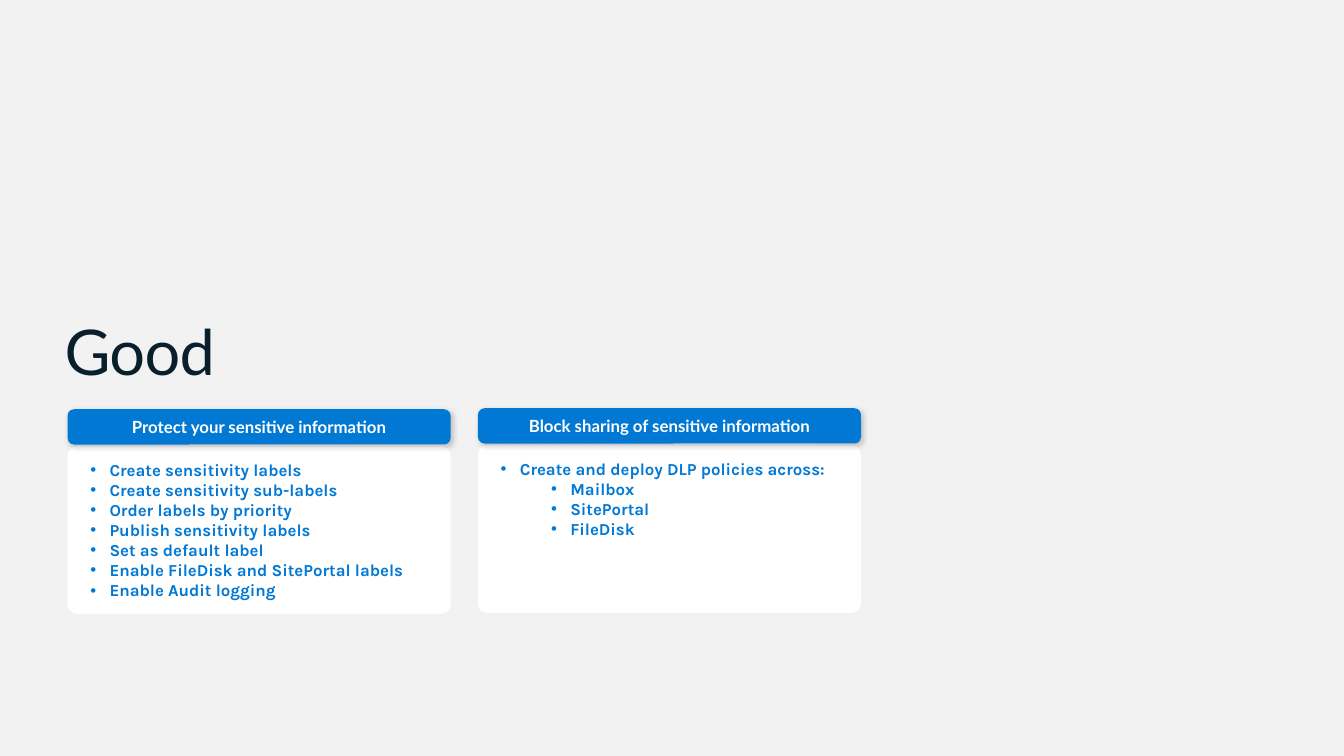
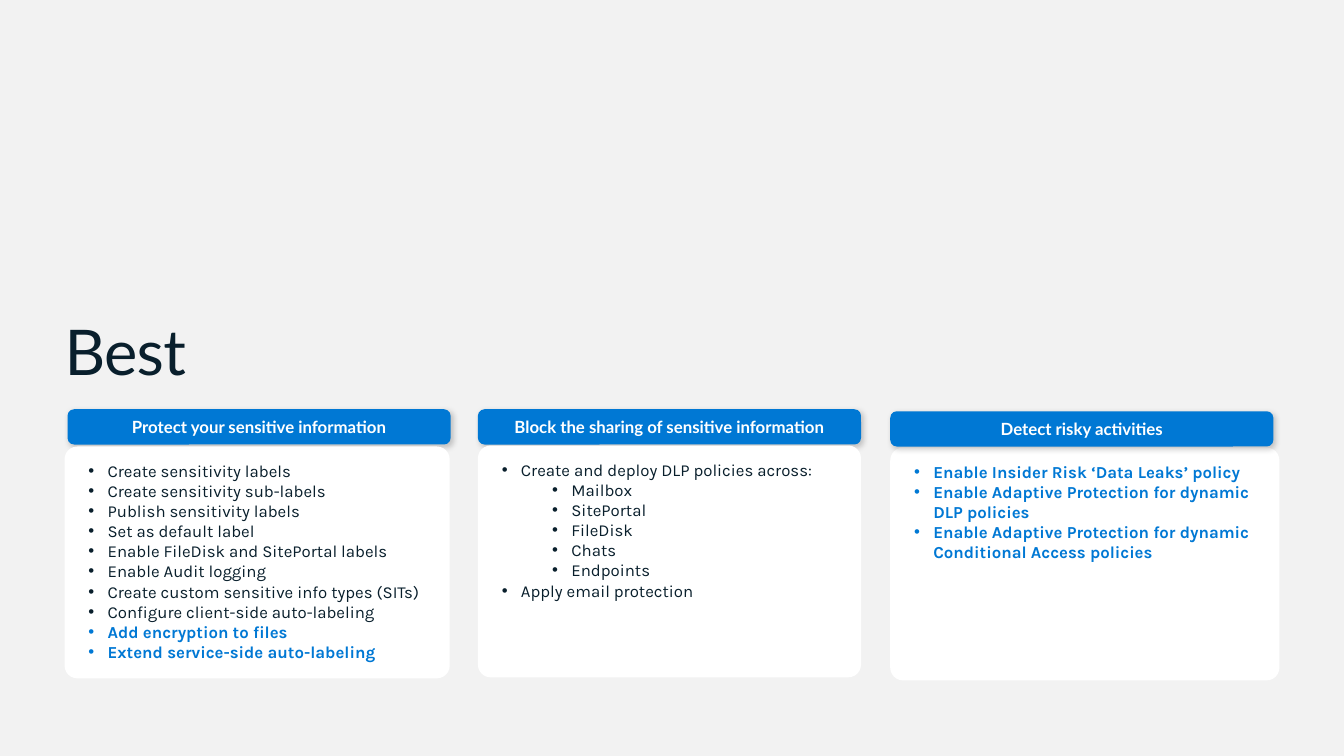
from dataclasses import dataclass

from lxml import etree
from pptx import Presentation
from pptx.dml.color import RGBColor
from pptx.enum.shapes import MSO_SHAPE
from pptx.enum.text import MSO_ANCHOR, PP_ALIGN
from pptx.oxml.ns import qn
from pptx.util import Inches, Pt

ROUND = MSO_SHAPE.ROUNDED_RECTANGLE
TOP, MIDDLE, BOTTOM = MSO_ANCHOR.TOP, MSO_ANCHOR.MIDDLE, MSO_ANCHOR.BOTTOM
LEFT, CENTER = PP_ALIGN.LEFT, PP_ALIGN.CENTER

# Shared style
GREY = RGBColor(0xF2, 0xF2, 0xF2)
WHITE = RGBColor(0xFF, 0xFF, 0xFF)
BLUE = RGBColor(0x00, 0x78, 0xD4)
INK = RGBColor(0x09, 0x1F, 0x2C)
HEAD_FONT, BODY_FONT = "Lato", "Karla"
HEAD_W, HEAD_H = 3.8, 0.35
INDENT, STEP = 0.19, 0.5


@dataclass
class Item:
    text: str
    level: int = 0
    new: bool = False


@dataclass
class Box:
    left: float
    top: float
    width: float
    height: float


@dataclass
class Card:
    title: str
    head: Box
    body: Box
    items: list[Item]
    head_last: bool = True


def new(*texts: str) -> list[Item]:
    return [Item(text, new=True) for text in texts]


def old(*texts: str) -> list[Item]:
    return [Item(text) for text in texts]


def nest(*texts: str, fresh: bool = False) -> list[Item]:
    return [Item(text, 1, fresh) for text in texts]


def head(left: float, top: float) -> Box:
    return Box(left, top, HEAD_W, HEAD_H)


def style(para, font: str, size: float, color: RGBColor, bold: bool) -> None:
    for run in para.runs:
        run.font.name = font
        run.font.size = Pt(size)
        run.font.color.rgb = color
        run.font.bold = bold


def set_frame(frame, anchor, side: float, edge: float) -> None:
    frame.word_wrap = True
    frame.vertical_anchor = anchor
    frame.margin_left = frame.margin_right = Inches(side)
    frame.margin_top = frame.margin_bottom = Inches(edge)


def add_panel(slide, box: Box, fill: RGBColor, corner: float):
    panel = slide.shapes.add_shape(ROUND, Inches(box.left), Inches(box.top),
                                   Inches(box.width), Inches(box.height))
    panel.adjustments[0] = corner
    panel.fill.solid()
    panel.fill.fore_color.rgb = fill
    panel.line.fill.background()
    panel.shadow.inherit = False
    return panel


def add_shadow(shape) -> None:
    effects = shape._element.spPr.find(qn("a:effectLst"))
    shadow = etree.SubElement(effects, qn("a:outerShdw"), blurRad=str(Pt(4)),
                              dist=str(Pt(2)), dir=str(45 * 60000),
                              algn="tl", rotWithShape="0")
    color = etree.SubElement(shadow, qn("a:srgbClr"), val="000000")
    etree.SubElement(color, qn("a:alpha"), val="20000")


def add_bullet(para, level: int) -> None:
    props = para._p.get_or_add_pPr()
    props.set("marL", str(Inches(INDENT + STEP * level)))
    props.set("indent", str(Inches(-INDENT)))
    etree.SubElement(props, qn("a:buFont"), typeface="Arial")
    etree.SubElement(props, qn("a:buChar"), char="•")


def add_head(slide, card: Card) -> None:
    bar = add_panel(slide, card.head, BLUE, 0.187)
    add_shadow(bar)
    set_frame(bar.text_frame, MIDDLE, 0.08, 0.05)
    para = bar.text_frame.paragraphs[0]
    para.text = card.title
    para.alignment = CENTER
    style(para, HEAD_FONT, 12, WHITE, True)


def add_body(slide, card: Card) -> None:
    panel = add_panel(slide, card.body, WHITE, 0.055)
    frame = panel.text_frame
    set_frame(frame, TOP, 0.2, 0.1)
    frame.text = "\n".join(item.text for item in card.items)
    for para, item in zip(frame.paragraphs, card.items):
        para.alignment = LEFT
        para.level = item.level
        add_bullet(para, item.level)
        style(para, BODY_FONT, 12, BLUE if item.new else INK, item.new)


def add_title(slide, text: str) -> None:
    box = slide.shapes.add_textbox(Inches(0.64), Inches(3.18),
                                   Inches(12.05), Inches(0.68))
    set_frame(box.text_frame, BOTTOM, 0, 0)
    para = box.text_frame.paragraphs[0]
    para.text = text
    para.line_spacing = 0.9
    style(para, HEAD_FONT, 45, INK, False)
    para.runs[0]._r.get_or_add_rPr().set("spc", "-50")


def add_page(deck, title: str, cards: list[Card]) -> None:
    slide = deck.slides.add_slide(deck.slide_layouts[6])
    slide.background.fill.solid()
    slide.background.fill.fore_color.rgb = GREY
    add_title(slide, title)
    for card in cards:
        steps = [add_body, add_head] if card.head_last else [add_head, add_body]
        for step in steps:
            step(slide, card)


# Slide content
PROTECT = "Protect your sensitive information"
ACROSS = "Create and deploy DLP policies across:"
PLACES = ("Mailbox", "SitePortal", "FileDisk")
ENABLE = "Enable FileDisk and SitePortal labels"

GOOD = [
    Card(PROTECT, head(0.67, 4.06), Box(0.67, 4.43, 3.8, 1.66),
         new("Create sensitivity labels", "Create sensitivity sub-labels",
             "Order labels by priority", "Publish sensitivity labels",
             "Set as default label", ENABLE, "Enable Audit logging")),
    Card("Block sharing of sensitive information", head(4.74, 4.05),
         Box(4.74, 4.42, 3.8, 1.66),
         new(ACROSS) + nest(*PLACES, fresh=True)),
]

BEST = [
    Card(PROTECT, head(0.67, 4.06), Box(0.64, 4.43, 3.82, 2.3),
         old("Create sensitivity labels", "Create sensitivity sub-labels",
             "Publish sensitivity labels", "Set as default label", ENABLE,
             "Enable Audit logging",
             "Create custom sensitive info types (SITs)",
             "Configure client-side auto-labeling")
         + new("Add encryption to files", "Extend service-side auto-labeling"),
         head_last=False),
    Card("Block the sharing of sensitive information", head(4.74, 4.06),
         Box(4.74, 4.42, 3.8, 2.3),
         old(ACROSS) + nest(*PLACES, "Chats", "Endpoints")
         + old("Apply email protection"),
         head_last=False),
    Card("Detect risky activities", head(8.83, 4.08),
         Box(8.83, 4.44, 3.86, 2.31),
         new("Enable Insider Risk ‘Data Leaks’ policy",
             "Enable Adaptive Protection for dynamic DLP policies",
             "Enable Adaptive Protection for dynamic "
             "Conditional Access policies")),
]


def main() -> None:
    deck = Presentation()
    deck.slide_width, deck.slide_height = Inches(13.33), Inches(7.5)
    add_page(deck, "Good", GOOD)
    add_page(deck, "Best", BEST)
    deck.save("out.pptx")


if __name__ == "__main__":
    main()
